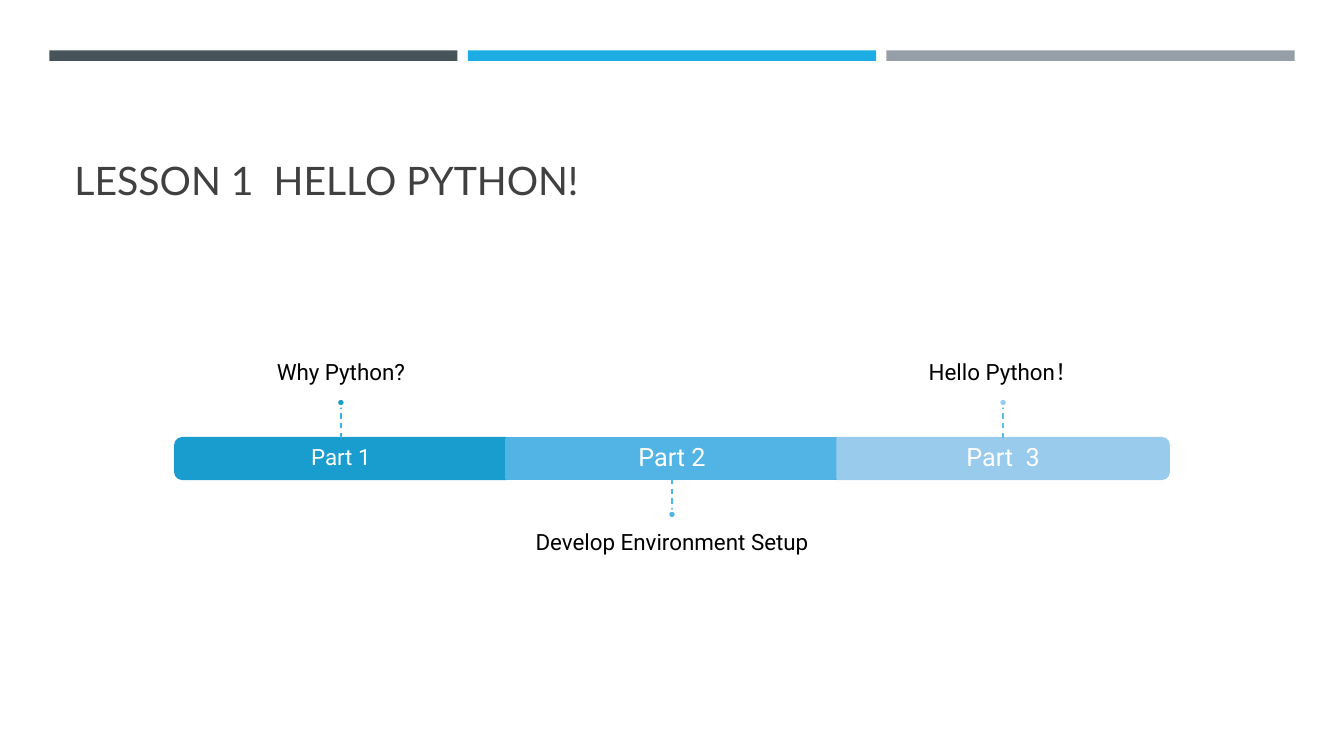
import dataclasses

import lxml.etree
import pptx
import pptx.dml.color
import pptx.enum.dml
import pptx.enum.shapes
import pptx.enum.text
import pptx.oxml.ns
import pptx.util

Pt = pptx.util.Pt
Shape = pptx.enum.shapes.MSO_SHAPE
Anchor = pptx.enum.text.MSO_ANCHOR
Align = pptx.enum.text.PP_ALIGN

WIDE, HIGH = 960, 540
STEP = 236.5
MID = 327.5
THICK = 29
DOT = 5.76
REACH = 40


@dataclasses.dataclass
class Part:
    name: str
    size: int
    label: str
    fill: str
    stem: str
    side: int  # -1 puts the label above the bar, 1 below it
    form: Shape
    turn: int


PARTS = [
    Part("Part 1", 16, "Why Python?", "199DCF", "36B3E9", -1,
         Shape.ROUND_2_SAME_RECTANGLE, 270),
    Part("Part 2", 18, "Develop Environment Setup", "52B3E5", "48B8EC", 1,
         Shape.RECTANGLE, 0),
    Part("Part  3", 18, "Hello Python！", "99CBEC", "5ABEEF", -1,
         Shape.ROUND_2_SAME_RECTANGLE, 90),
]


def paint(target, color: str) -> None:
    """Give a fill or a font colour object a solid hex colour."""
    if hasattr(target, "solid"):
        target.solid()
        target = target.fore_color
    target.rgb = pptx.dml.color.RGBColor.from_string(color)


def add_form(slide, form: Shape, x: float, y: float, w: float, h: float,
             fill: str, edge: str = ""):
    """Add a filled shape centred on x, y."""
    shape = slide.shapes.add_shape(
        form, Pt(x - w / 2), Pt(y - h / 2), Pt(w), Pt(h))
    shape.shadow.inherit = False
    paint(shape.fill, fill)
    if edge:
        paint(shape.line.fill, edge)
        shape.line.width = Pt(1.75)
    else:
        shape.line.fill.background()
    return shape


def write(frame, text: str, font: str, size: int, color: str,
          align: Align, anchor: Anchor) -> None:
    frame.word_wrap = True
    frame.auto_size = pptx.enum.text.MSO_AUTO_SIZE.NONE
    frame.vertical_anchor = anchor
    para = frame.paragraphs[0]
    para.alignment = align
    para.line_spacing = 0.9
    run = para.add_run()
    run.text = text
    run.font.name = font
    run.font.size = Pt(size)
    paint(run.font.color, color)


def add_text(slide, text: str, x: float, top: float, w: float, h: float,
             size: int, color: str, anchor: Anchor, pad: float) -> None:
    """Add a centred text box whose middle is at x."""
    box = slide.shapes.add_textbox(Pt(x - w / 2), Pt(top), Pt(w), Pt(h))
    frame = box.text_frame
    frame.margin_left = frame.margin_right = 0
    frame.margin_top = frame.margin_bottom = Pt(pad)
    write(frame, text, "Roboto", size, color, Align.CENTER, anchor)


def add_stem(slide, x: float, start: float, end: float, color: str) -> None:
    stem = slide.shapes.add_connector(
        pptx.enum.shapes.MSO_CONNECTOR.STRAIGHT,
        Pt(x), Pt(start), Pt(x), Pt(end))
    paint(stem.line.fill, color)
    stem.line.width = Pt(1)
    stem.line.dash_style = pptx.enum.dml.MSO_LINE.DASH
    lxml.etree.SubElement(
        stem.element.spPr, pptx.oxml.ns.qn("a:effectLst"))


def add_part(slide, part: Part, x: float) -> None:
    """Add one bar segment with its stem, dot and label."""
    w, h = (THICK, STEP) if part.turn else (STEP, THICK)
    bar = add_form(slide, part.form, x, MID, w, h, part.fill, part.fill)
    bar.rotation = part.turn
    add_text(slide, part.name, x, MID - THICK / 2, STEP, THICK,
             part.size, "FFFFFF", Anchor.MIDDLE, 0)

    high = 100
    edge = MID + part.side * (REACH + DOT / 2)
    above = part.side < 0
    add_text(slide, part.label, x, edge - high if above else edge, 394.5, high,
             16, "000000", Anchor.BOTTOM if above else Anchor.TOP, 9.4)

    add_stem(slide, x, MID + part.side * THICK / 2,
             MID + part.side * (REACH - DOT / 2), part.stem)
    add_form(slide, Shape.OVAL, x, MID + part.side * REACH, DOT, DOT,
             part.fill, "FFFFFF")


def main() -> None:
    deck = pptx.Presentation()
    deck.slide_width, deck.slide_height = Pt(WIDE), Pt(HIGH)
    slide = deck.slides.add_slide(deck.slide_layouts[5])

    for i, color in enumerate(["465359", "1CADE4", "969FA7"]):
        add_form(slide, Shape.RECTANGLE, WIDE / 2 + (i - 1) * 299, 39.8,
                 291.6, 7.6, color)

    title = slide.shapes.title
    title.left, title.top = Pt(46), Pt(55.5)
    title.width, title.height = Pt(868.5), Pt(93.5)
    write(title.text_frame, "LESSON 1  HELLO PYTHON!", "Lato", 28, "404040",
          Align.LEFT, Anchor.BOTTOM)

    for i, part in enumerate(PARTS):
        add_part(slide, part, WIDE / 2 + (i - 1) * STEP)

    deck.save("out.pptx")


if __name__ == "__main__":
    main()
